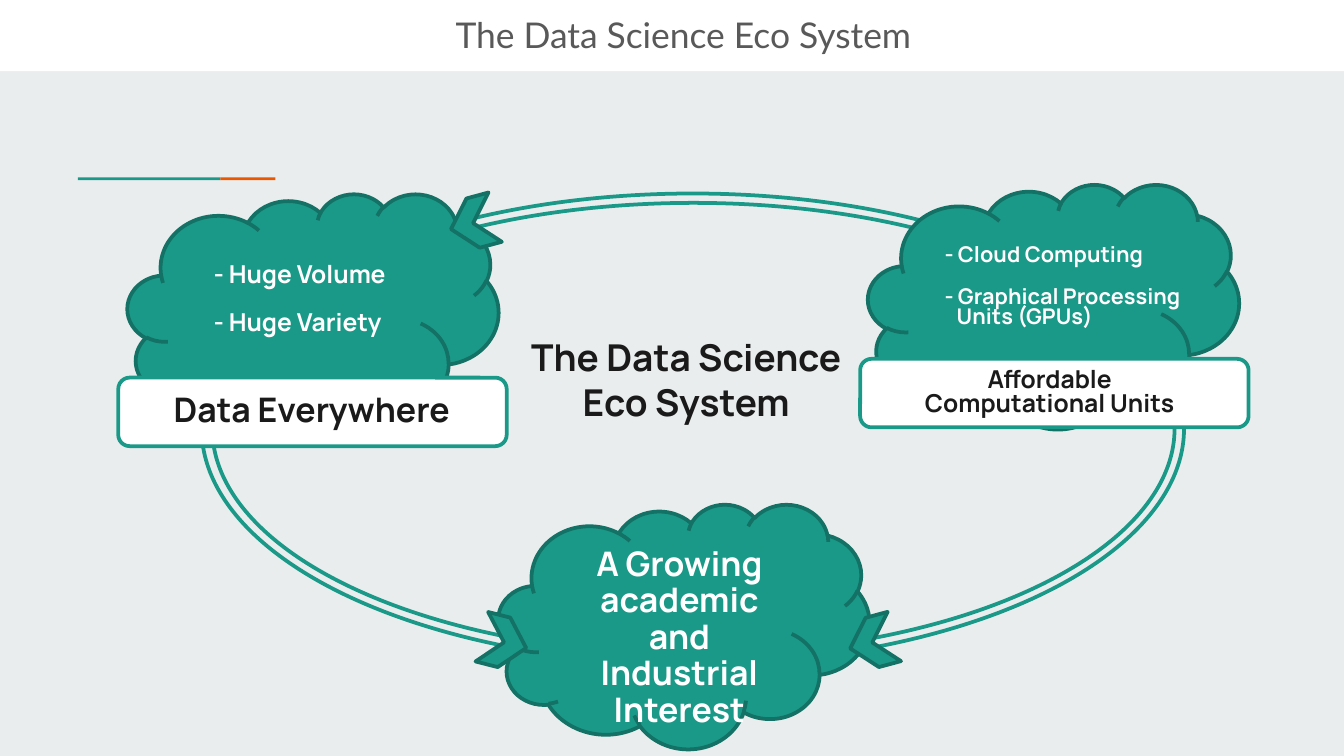
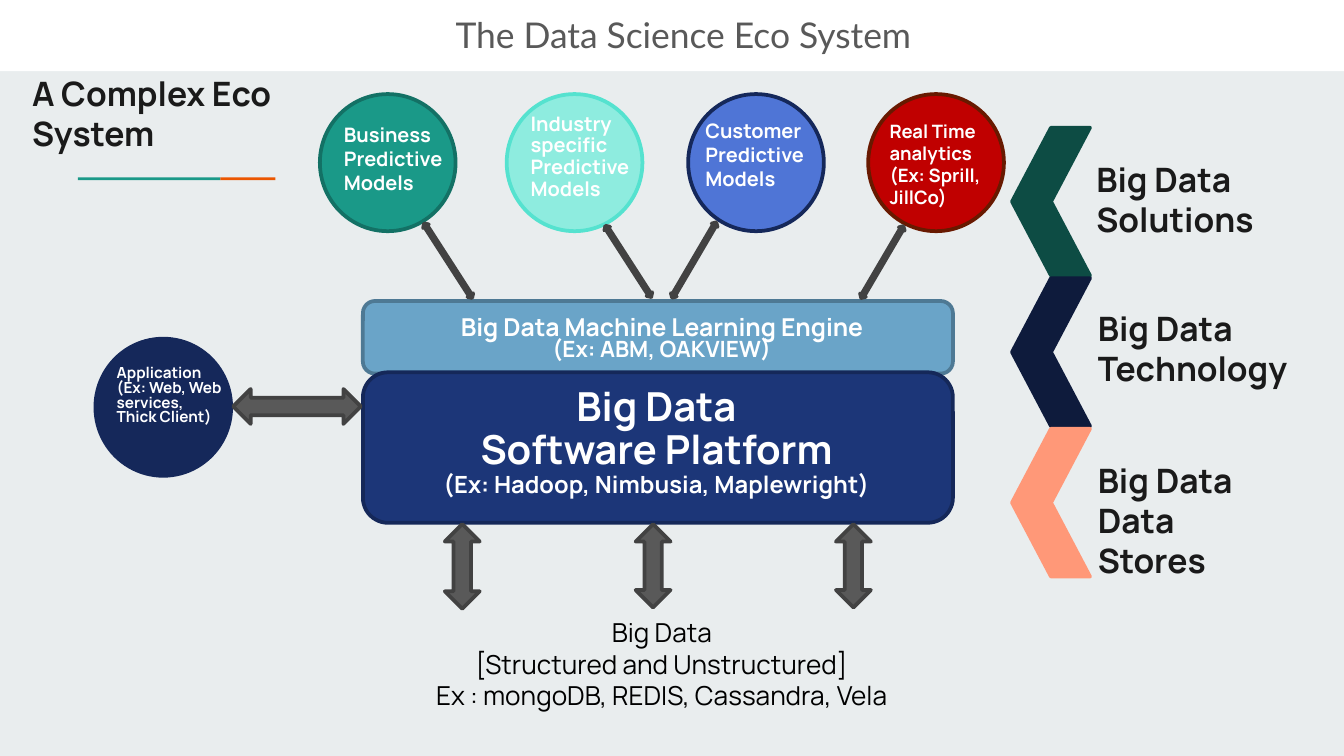
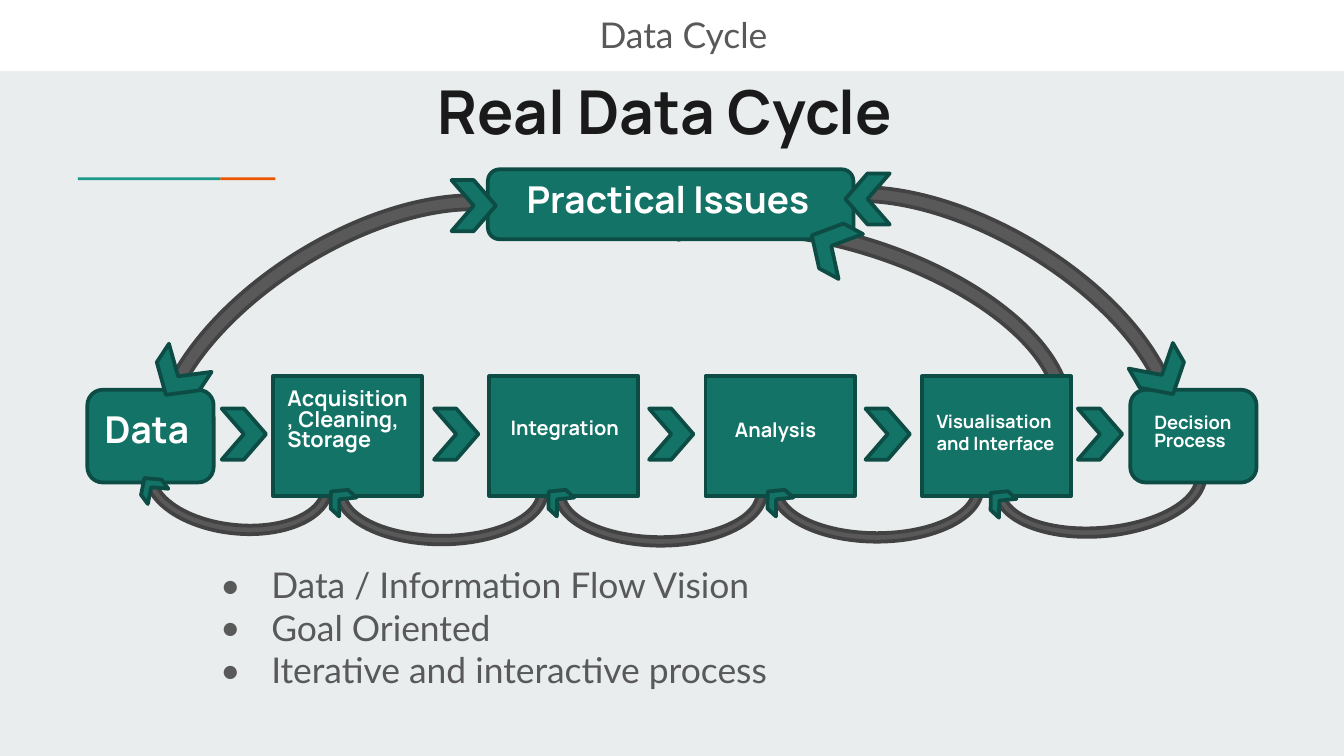
from lxml.etree import SubElement
from pptx import Presentation
from pptx.dml.color import RGBColor
from pptx.enum.shapes import MSO_SHAPE
from pptx.enum.text import MSO_AUTO_SIZE, PP_ALIGN
from pptx.oxml.ns import qn
from pptx.util import Inches, Pt

WHITE, BLACK, INK, GREY, CHARCOAL = "FFFFFF", "000000", "1A1A1A", "595959", "424242"
PAPER, TEAL, PINE, FOREST, ORANGE = "E9EDEE", "1A9988", "137165", "0D4C44", "EB5600"
DEEP_TEAL, NAVY = "137366", "15285A"


def color(value):
    """Turn a hex string into a colour."""
    return RGBColor.from_string(value)


class SlideBuilder:
    """Holds the shared style and the current slide."""

    def __init__(self):
        """Start a 16:9 deck."""
        self.deck = Presentation()
        self.deck.slide_width = Inches(10)
        self.deck.slide_height = Inches(10) * 9 // 16
        self.slide = None

    def page(self, heading):
        """Add a slide with its band, accent line and heading."""
        self.slide = self.deck.slides.add_slide(self.deck.slide_layouts[6])
        fill = self.slide.background.fill
        fill.solid()
        fill.fore_color.rgb = color(PAPER)
        self.shape("RECTANGLE", (0, 0, 10, 0.53), WHITE)
        self.shape("RECTANGLE", (0.58, 1.32, 1.06, 0.02), TEAL)
        self.shape("RECTANGLE", (1.64, 1.32, 0.41, 0.02), ORANGE)
        self.text((1.69, 0, 6.79, 0.54), [heading], 19, GREY, font="Lato", center=True)

    def shape(self, kind, at, fill=None, line=None, turn=0, adjust=()):
        """Add a preset shape."""
        shape = self.slide.shapes.add_shape(MSO_SHAPE[kind], *map(Inches, at))
        shape.shadow.inherit = False
        shape.rotation = turn
        for index, value in enumerate(adjust):
            shape.adjustments[index] = value
        if fill:
            shape.fill.solid()
            shape.fill.fore_color.rgb = color(fill)
        else:
            shape.fill.background()
        if line:
            shape.line.width = Pt(2)
            shape.line.color.rgb = color(line)
            SubElement(shape.element.spPr.get_or_add_ln(), qn("a:round"))
        else:
            shape.line.fill.background()

    def text(self, at, lines, size, ink=WHITE, font="Manrope", center=False,
             spacing=None, gap=0, hang=None, bullet=False, inset=0.1, grow=False):
        """Add a text box; a line is a string or a (string, size) pair."""
        box = self.slide.shapes.add_textbox(*map(Inches, at))
        frame = box.text_frame
        frame.word_wrap = True
        frame.auto_size = MSO_AUTO_SIZE.SHAPE_TO_FIT_TEXT if grow else MSO_AUTO_SIZE.NONE
        frame.margin_left = frame.margin_right = Inches(0.1)
        frame.margin_top = frame.margin_bottom = Inches(inset)
        for index, line in enumerate(lines):
            words, points = line if isinstance(line, tuple) else (line, size)
            para = frame.paragraphs[0] if index == 0 else frame.add_paragraph()
            if hang:
                self.indent(para, *hang, bullet, ink, font)
            para.alignment = PP_ALIGN.CENTER if center else PP_ALIGN.LEFT
            if spacing:
                para.line_spacing = spacing
            if index and gap:
                para.space_before = Pt(gap)
            for part, piece in enumerate(words.split("\n")):
                if part:
                    para.add_line_break()
                span = para.add_run()
                span.text = piece
                span.font.name, span.font.size = font, Pt(points)
                span.font.bold = font == "Manrope" and ink != BLACK
                span.font.color.rgb = color(ink)

    def indent(self, para, margin, first, bullet, ink, font):
        """Give a paragraph a hanging indent and perhaps a bullet."""
        props = para._p.get_or_add_pPr()
        props.set("marL", str(Inches(margin)))
        props.set("indent", str(Inches(first)))
        if bullet:
            tint = SubElement(props, qn("a:buClr"))
            SubElement(tint, qn("a:srgbClr"), val=ink)
            SubElement(props, qn("a:buFont"), typeface=font)
            SubElement(props, qn("a:buChar"), char="•")


def interest_ring(builder):
    """Build the three clouds on a ring."""
    builder.page("The Data Science Eco System")
    builder.shape("OVAL", (1.5, 1.44, 7.31, 3.5), line=TEAL)
    builder.text((3.59, 2.39, 3.03, 0.82), ["The Data Science Eco System"], 19.8, INK, center=True)
    builder.shape("OVAL", (1.58, 1.51, 7.16, 3.36), line=TEAL)
    for left, top in [(0.95, 1.44), (6.46, 1.37), (3.71, 3.75)]:
        builder.shape("CLOUD", (left, top, 2.76, 1.82), TEAL, PINE)
    for left, top in [(0.88, 2.81), (6.4, 2.67)]:
        builder.shape("ROUNDED_RECTANGLE", (left, top, 2.89, 0.51), WHITE, TEAL)
    builder.text((1.09, 2.83, 2.46, 0.58), ["Data Everywhere"], 18.1, INK, center=True, spacing=0.9)
    builder.text((6.58, 2.65, 2.46, 0.58), ["Affordable Computational Units"], 13.2, INK,
                 center=True, spacing=0.8)
    builder.text((1.45, 1.87, 2.39, 0.8), ["- Huge Volume", "- Huge Variety"], 13.2,
                 spacing=0.8, gap=12.7, hang=(0.12, -0.08))
    builder.text((6.9, 1.73, 2.46, 0.88),
                 ["- Cloud Computing", "- Graphical Processing\nUnits (GPUs)"], 11.6,
                 spacing=0.8, gap=11.1, hang=(0.12, -0.09))
    builder.text((4.12, 3.97, 1.87, 1.28), ["A Growing academic and Industrial Interest"], 18.1,
                 center=True, spacing=0.9)
    for left, top, turn in [(3.35, 1.47, 164.9), (6.32, 4.59, 164.9), (3.58, 4.59, 14.3)]:
        builder.shape("CHEVRON", (left, top, 0.34, 0.38), TEAL, PINE, turn)


def platform_stack(builder):
    """Build the platform with its models, stores and layers."""
    builder.page("The Data Science Eco System")
    builder.text((0.14, 0.44, 2.54, 0.85), ["A Complex Eco System"], 18, INK)
    circles = [(6.46, 0.7, "C00000", "681900"), (5.12, 0.7, "4F75D6", NAVY),
               (3.77, 0.7, "8EECDF", "55E2CF"), (2.38, 0.7, TEAL, PINE),
               (0.71, 2.52, NAVY, NAVY)]
    for left, top, fill, line in circles:
        builder.shape("OVAL", (left, top, 1.01, 1.02), fill, line)
    builder.shape("ROUNDED_RECTANGLE", (2.7, 2.24, 4.39, 0.54), "6AA4C8", "4E7994")
    builder.shape("ROUNDED_RECTANGLE", (2.7, 2.77, 4.39, 1.12), "1C3678", "152859")
    layers = [(FOREST, 8.06, 1.08, 1.5, "Solutions"), ("0E1B3C", 8.07, 2.19, 1.71, "Technology"),
              ("FF9878", 8.07, 3.32, 1.6, "Data Stores")]
    for index, (fill, left, top, width, name) in enumerate(layers):
        builder.shape("CHEVRON", (7.53, 0.95 + 1.12 * index, 0.58, 1.1), fill, fill, 180)
        builder.text((left, top, width, 0.85), ["Big Data", name], 18, INK)
    arrows = [(3.31, 3.9, 0.26, 0.63, 0), (4.73, 3.9, 0.26, 0.62, 0), (6.22, 3.9, 0.26, 0.62, 0),
              (2.08, 2.55, 0.26, 0.95, 90), (6.54, 1.64, 0.05, 0.62, 30.4),
              (5.14, 1.61, 0.05, 0.65, 30.4), (4.65, 1.63, 0.05, 0.63, 327.2),
              (3.31, 1.61, 0.05, 0.66, 327.2)]
    for *at, turn in arrows:
        builder.shape("UP_DOWN_ARROW", at, GREY, CHARCOAL, turn)
    builder.text((1.87, 4.54, 6.11, 0.81),
                 ["Big Data", "[Structured and Unstructured]",
                  "Ex : mongoDB, REDIS, Cassandra, Vela"],
                 14, BLACK, center=True, inset=0.05, grow=True)
    labels = [(0.77, 2.63, 8.2, 0.8, ["Application", "(Ex: Web, Web services,", "Thick Client)"]),
              (2.46, 0.81, 10.7, None, ["Business Predictive Models"]),
              (3.85, 0.75, 10.7, 0.9, ["Industry specific Predictive Models"]),
              (5.15, 0.78, 10.7, None, ["Customer Predictive Models"]),
              (6.52, 0.79, 9.9, None, ["Real Time analytics", "(Ex: Sprill, JillCo)"])]
    for left, top, size, spacing, lines in labels:
        builder.text((left, top, 1.01, 0.91), lines, size, spacing=spacing)
    builder.text((2.8, 2.78, 4.17, 1.11),
                 ["Big Data", "Software Platform", ("(Ex: Hadoop, Nimbusia, Maplewright)", 12.7)],
                 21.4, center=True, spacing=0.9)
    builder.text((2.76, 2.26, 4.33, 0.56),
                 ["Big Data Machine Learning Engine", ("(Ex: ABM, OAKVIEW)", 12)],
                 13.2, center=True, spacing=0.8)


def data_cycle(builder):
    """Build the process chain with its feedback arcs."""
    builder.page("Data Cycle")
    arcs = [(4.36, 1.74, 3.66, 1.82, 16.7, 120.26, 0.06), (1.08, 3.18, 1.39, 0.79, 185.8, 108, 0.08),
            (2.5, 3.26, 1.57, 0.79, 180, 108, 0.08), (4.13, 3.27, 1.57, 0.79, 180, 108, 0.08),
            (5.74, 3.24, 1.57, 0.79, 180, 108, 0.08), (7.4, 3.2, 1.57, 0.79, 175.1, 108, 0.08),
            (5.48, 1.66, 3.47, 1.82, 30.4, 108, 0.06), (0.96, 1.74, 3.47, 1.82, 328.3, 108, 0.06)]
    for *at, turn, start, band in arcs:
        builder.shape("BLOCK_ARC", at, GREY, CHARCOAL, turn, (start, 214.9, band))
    for left in (0.65, 8.41):
        builder.shape("ROUNDED_RECTANGLE", (left, 2.9, 0.94, 0.69), DEEP_TEAL, FOREST)
    for index in range(4):
        builder.shape("RECTANGLE", (2.03 + 1.61 * index, 2.8, 1.11, 0.89), DEEP_TEAL, FOREST)
    builder.shape("ROUNDED_RECTANGLE", (3.63, 1.26, 2.72, 0.52), DEEP_TEAL, FOREST)
    steps = [(0.68, 2.99, 0.85, 0.5, 19.8, 0.8, "Data"),
             (2.04, 2.8, 1.13, 0.89, 11.6, 0.8, "Acquisition, Cleaning, Storage"),
             (3.7, 2.99, 1.02, 0.54, 10.7, None, "Integration"),
             (5.37, 3.01, 1.02, 0.54, 10.7, None, "Analysis"),
             (6.87, 2.95, 1.1, 0.89, 9.8, None, "Visualisation and Interface"),
             (8.49, 2.99, 0.83, 0.65, 9.9, 0.8, "Decision Process"),
             (3.82, 1.28, 2.57, 0.5, 19.8, 0.8, "Practical Issues")]
    for *at, size, spacing, words in steps:
        builder.text(at, [words], size, spacing=spacing)
    forward = [(left, 3.04, 0) for left in (1.65, 3.23, 4.83, 6.44, 8.02)]
    issue_tips = [(1.16, 2.61, 123.4), (3.36, 1.34, 0), (6.29, 1.29, 180),
                  (8.48, 2.6, 59.9), (6.02, 1.64, 208.5)]
    for left, top, turn in forward + issue_tips:
        builder.shape("CHEVRON", (left, top, 0.33, 0.38), DEEP_TEAL, FOREST, turn)
    return_tips = [(7.35, 3.63, 222.6), (5.69, 3.62, 222.6), (4.06, 3.62, 222.6),
                   (2.44, 3.62, 222.6), (1.04, 3.53, 233.4)]
    for left, top, turn in return_tips:
        builder.shape("CHEVRON", (left, top, 0.17, 0.19), DEEP_TEAL, FOREST, turn)
    builder.text((1.54, 4.09, 5.71, 1.53),
                 ["Data / Information Flow Vision", "Goal Oriented",
                  "Iterative and interactive process"],
                 19, GREY, font="Lato", hang=(0.38, -0.38), bullet=True)
    builder.text((3.16, 0.45, 3.62, 0.38), ["Real Data Cycle"], 32.4, INK)


def main():
    """Build and save the deck."""
    builder = SlideBuilder()
    for build in (interest_ring, platform_stack, data_cycle):
        build(builder)
    builder.deck.save("out.pptx")


if __name__ == "__main__":
    main()
